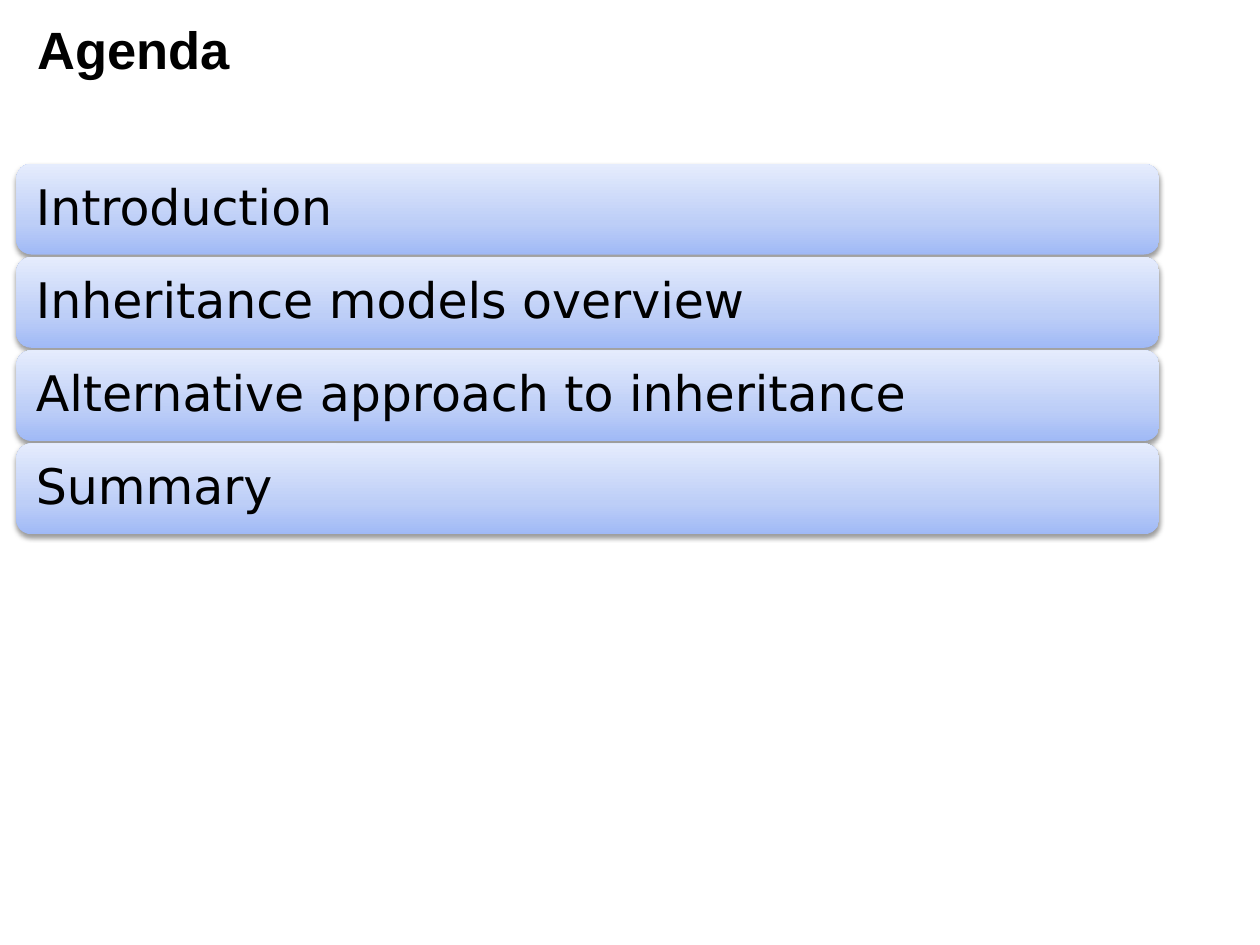
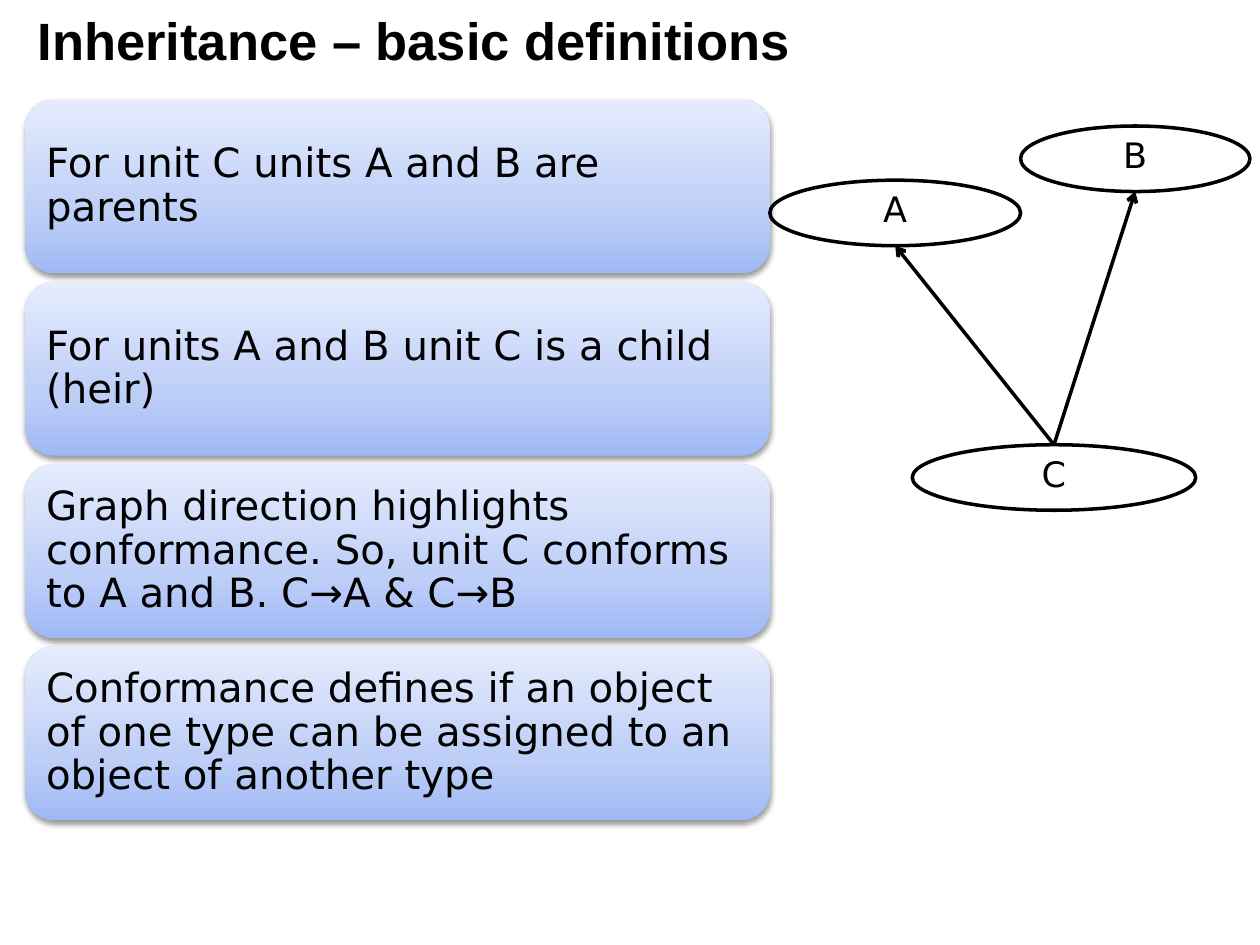
from dataclasses import dataclass

from lxml.etree import SubElement
from pptx import Presentation
from pptx.dml.color import RGBColor
from pptx.enum.shapes import MSO_CONNECTOR, MSO_SHAPE
from pptx.enum.text import MSO_ANCHOR, PP_ALIGN
from pptx.oxml.ns import qn
from pptx.util import Inches, Pt


@dataclass(frozen=True)
class Theme:
    ink: RGBColor = RGBColor(0, 0, 0)
    card_stops: tuple = ((0, "A0B9F6"), (35, "BDCEF7"), (100, "E5ECFD"))
    title_font: str = "Arial"
    body_font: str = "DejaVu Sans"
    title_size: int = 30
    agenda_size: int = 28
    definition_size: int = 23
    unit_size: int = 20
    line_width: int = 2


THEME = Theme()


def write_text(shape, text, font_name, size, bold=False,
               alignment=PP_ALIGN.LEFT, line_spacing=None):
    frame = shape.text_frame
    frame.word_wrap = True
    frame.vertical_anchor = MSO_ANCHOR.MIDDLE
    paragraph = frame.paragraphs[0]
    paragraph.alignment = alignment
    paragraph.line_spacing = line_spacing
    run = paragraph.add_run()
    run.text = text
    run.font.name = font_name
    run.font.size = Pt(size)
    run.font.bold = bold
    run.font.color.rgb = THEME.ink


def add_titled_slide(presentation, text, top, width):
    slide = presentation.slides.add_slide(presentation.slide_layouts[5])
    title = slide.shapes.title
    title.left, title.top = Inches(0.2), Inches(top)
    title.width, title.height = Inches(width), Inches(0.61)
    write_text(title, text, THEME.title_font, THEME.title_size, bold=True)
    return slide


def fill_with_gradient(shape):
    shape.fill.gradient()
    shape.fill.gradient_angle = 90
    stops = shape._element.spPr.find(".//" + qn("a:gsLst"))
    for stop in list(stops):
        stops.remove(stop)
    for position, color in THEME.card_stops:
        stop = SubElement(stops, qn("a:gs"), pos=str(position * 1000))
        SubElement(stop, qn("a:srgbClr"), val=color)


def add_soft_shadow(shape):
    shape.shadow.inherit = False
    effects = shape._element.spPr.find(qn("a:effectLst"))
    shadow = SubElement(effects, qn("a:outerShdw"), blurRad=str(Pt(3.1)),
                        dist=str(Pt(1.6)), dir="5400000", rotWithShape="0")
    color = SubElement(shadow, qn("a:srgbClr"), val=str(THEME.ink))
    SubElement(color, qn("a:alpha"), val="38000")


def add_card(slide, text, left, top, width, height, inset, size):
    card = slide.shapes.add_shape(
        MSO_SHAPE.ROUNDED_RECTANGLE,
        Inches(left), Inches(top), Inches(width), Inches(height))
    fill_with_gradient(card)
    card.line.fill.background()
    add_soft_shadow(card)
    frame = card.text_frame
    frame.margin_left = frame.margin_right = Inches(inset)
    frame.margin_top = frame.margin_bottom = Inches(inset)
    write_text(card, text, THEME.body_font, size, line_spacing=0.9)


def add_card_stack(slide, texts, left, first_top, last_top, width, height, inset, size):
    """Spread equal cards evenly between the first and the last top."""
    pitch = (last_top - first_top) / (len(texts) - 1)
    for index, text in enumerate(texts):
        add_card(slide, text, left, first_top + index * pitch, width, height, inset, size)


def add_unit(slide, name, left, top, width):
    unit = slide.shapes.add_shape(
        MSO_SHAPE.OVAL, Inches(left), Inches(top), Inches(width), Inches(0.52))
    unit.shadow.inherit = False
    unit.fill.background()
    unit.line.color.rgb = THEME.ink
    unit.line.width = Pt(THEME.line_width)
    write_text(unit, name, THEME.body_font, THEME.unit_size,
               alignment=PP_ALIGN.CENTER, line_spacing=0.8)
    return unit


def add_inheritance_arrow(slide, child, parent):
    """Draw an arrow from the top of the child to the bottom of the parent."""
    arrow = slide.shapes.add_connector(
        MSO_CONNECTOR.STRAIGHT,
        child.left + child.width // 2, child.top,
        parent.left + parent.width // 2, parent.top + parent.height)
    arrow.begin_connect(child, 0)
    arrow.line.color.rgb = THEME.ink
    arrow.line.width = Pt(THEME.line_width)
    SubElement(arrow.line._get_or_add_ln(), qn("a:tailEnd"), type="arrow")
    SubElement(arrow._element.spPr, qn("a:effectLst"))


def build_agenda(presentation):
    slide = add_titled_slide(presentation, "Agenda", top=0.08, width=9.8)
    topics = [
        "Introduction",
        "Inheritance models overview",
        "Alternative approach to inheritance",
        "Summary",
    ]
    add_card_stack(slide, topics, left=0.13, first_top=1.3, last_top=3.52,
                   width=9.07, height=0.72, inset=0.12, size=THEME.agenda_size)


def build_definitions(presentation):
    slide = add_titled_slide(
        presentation, "Inheritance – basic definitions", top=0.01, width=9)
    definitions = [
        "For unit C units А and В are parents",
        "For units А and В unit С is a child (heir)",
        "Graph direction highlights conformance. So, unit C conforms to A and B. C→A & C→B",
        "Conformance defines if an object of one type can be assigned to an object of another type",
    ]
    add_card_stack(slide, definitions, left=0.2, first_top=0.79, last_top=5.13,
                   width=5.91, height=1.38, inset=0.1, size=THEME.definition_size)
    parents = [
        add_unit(slide, "A", left=6.11, top=1.43, width=1.99),
        add_unit(slide, "B", left=8.1, top=1, width=1.82),
    ]
    child = add_unit(slide, "C", left=7.24, top=3.53, width=2.25)
    for parent in parents:
        add_inheritance_arrow(slide, child, parent)


def main():
    presentation = Presentation()
    presentation.slide_width = Inches(10)
    presentation.slide_height = Inches(7.5)
    build_agenda(presentation)
    build_definitions(presentation)
    presentation.save("out.pptx")


if __name__ == "__main__":
    main()
